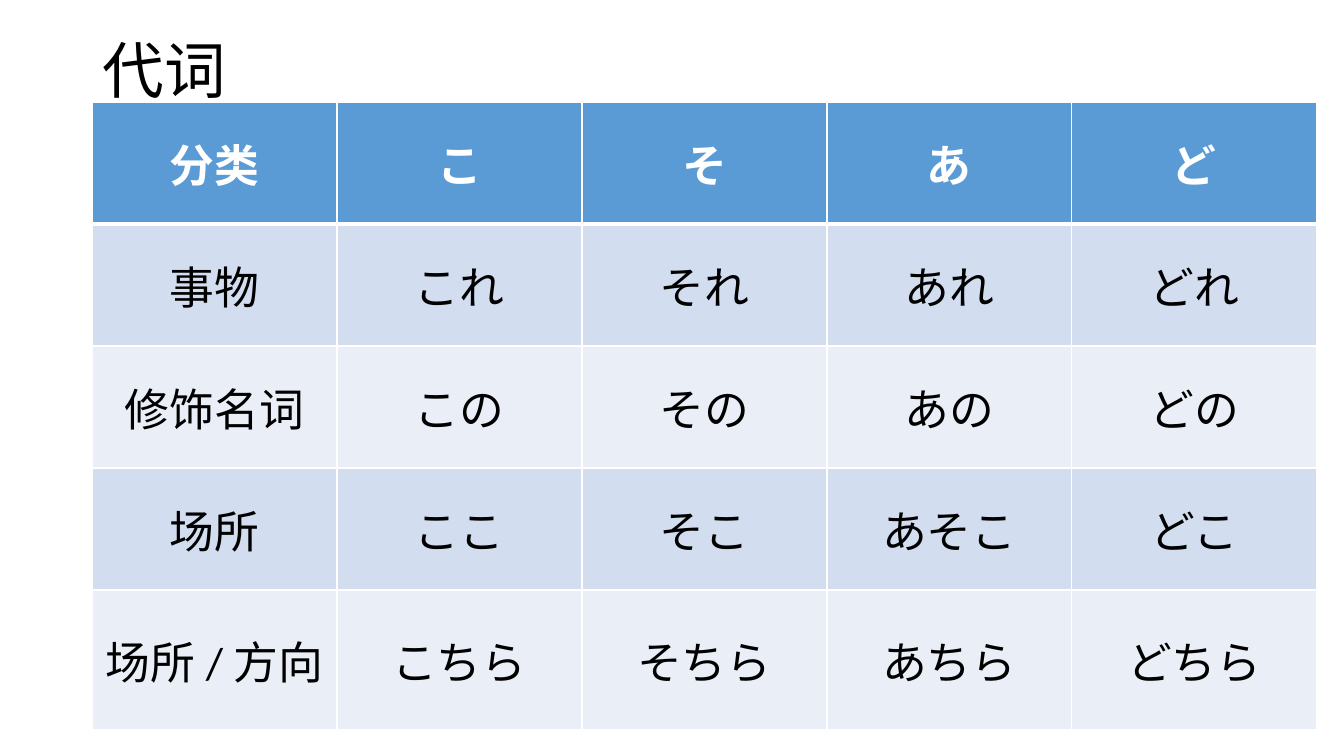
from pptx import Presentation
from pptx.dml.color import RGBColor
from pptx.enum.text import MSO_ANCHOR, PP_ALIGN
from pptx.oxml import parse_xml
from pptx.oxml.ns import nsdecls
from pptx.util import Emu, Pt

MIDDLE = MSO_ANCHOR.MIDDLE
LEFT, CENTER = PP_ALIGN.LEFT, PP_ALIGN.CENTER
PIXEL = 914400 / 100.8
FONT = "Calibri"
COLORS = {"text": "000000", "white": "FFFFFF", "header": "5B9BD5",
          "odd": "D2DEEF", "even": "EAEFF7"}


def px(count):
    return Emu(round(count * PIXEL))


def write(frame, text, size, color="text", bold=False, align=LEFT, spacing=1.0):
    paragraph = frame.paragraphs[0]
    paragraph.alignment = align
    paragraph.line_spacing = spacing
    span = paragraph.add_run()
    span.text = text
    span.font.name = FONT
    span.font.size = Pt(size)
    span.font.bold = bold
    span.font.color.rgb = RGBColor.from_string(COLORS[color])


deck = Presentation()
deck.slide_width, deck.slide_height = px(1344), px(756)
page = deck.slides.add_slide(deck.slide_layouts[6])

# Title
title = page.shapes.add_textbox(px(93), px(0), px(1159), px(147))
title.text_frame.word_wrap = True
title.text_frame.vertical_anchor = MIDDLE
write(title.text_frame, "代词", 44, spacing=0.9)

# Pronoun table; the last row is taller to hold two lines
PRONOUNS = [
    ["分类", "こ", "そ", "あ", "ど"],
    ["事物", "これ", "それ", "あれ", "どれ"],
    ["修饰名词", "この", "その", "あの", "どの"],
    ["场所", "ここ", "そこ", "あそこ", "どこ"],
    ["场所 / 方向", "こちら", "そちら", "あちら", "どちら"],
]
COLUMN_WIDTH = 245
row_count, column_count = len(PRONOUNS), len(PRONOUNS[0])
row_heights = [122] * (row_count - 1) + [140]
table = page.shapes.add_table(
    row_count, column_count, px(92), px(102),
    px(COLUMN_WIDTH * column_count), px(sum(row_heights))).table
for column in table.columns:
    column.width = px(COLUMN_WIDTH)
for row, height in zip(table.rows, row_heights):
    row.height = px(height)

for row_index, words in enumerate(PRONOUNS):
    is_header = row_index == 0
    fill = "header" if is_header else "odd" if row_index % 2 else "even"
    for column_index, word in enumerate(words):
        cell = table.cell(row_index, column_index)
        cell.vertical_anchor = MIDDLE
        write(cell.text_frame, word, 32, "white" if is_header else "text",
              bold=is_header, align=CENTER)

        # White borders, heavier between the header and the body
        top = 3 if row_index == 1 else 1
        bottom = 3 if is_header else 1
        properties = cell._tc.get_or_add_tcPr()
        for side, width in (("L", 1), ("R", 1), ("T", top), ("B", bottom)):
            properties.append(parse_xml(
                f'<a:ln{side} {nsdecls("a")} w="{Pt(width)}"><a:solidFill>'
                f'<a:srgbClr val="{COLORS["white"]}"/></a:solidFill></a:ln{side}>'))
        cell.fill.solid()
        cell.fill.fore_color.rgb = RGBColor.from_string(COLORS[fill])

deck.save("out.pptx")
